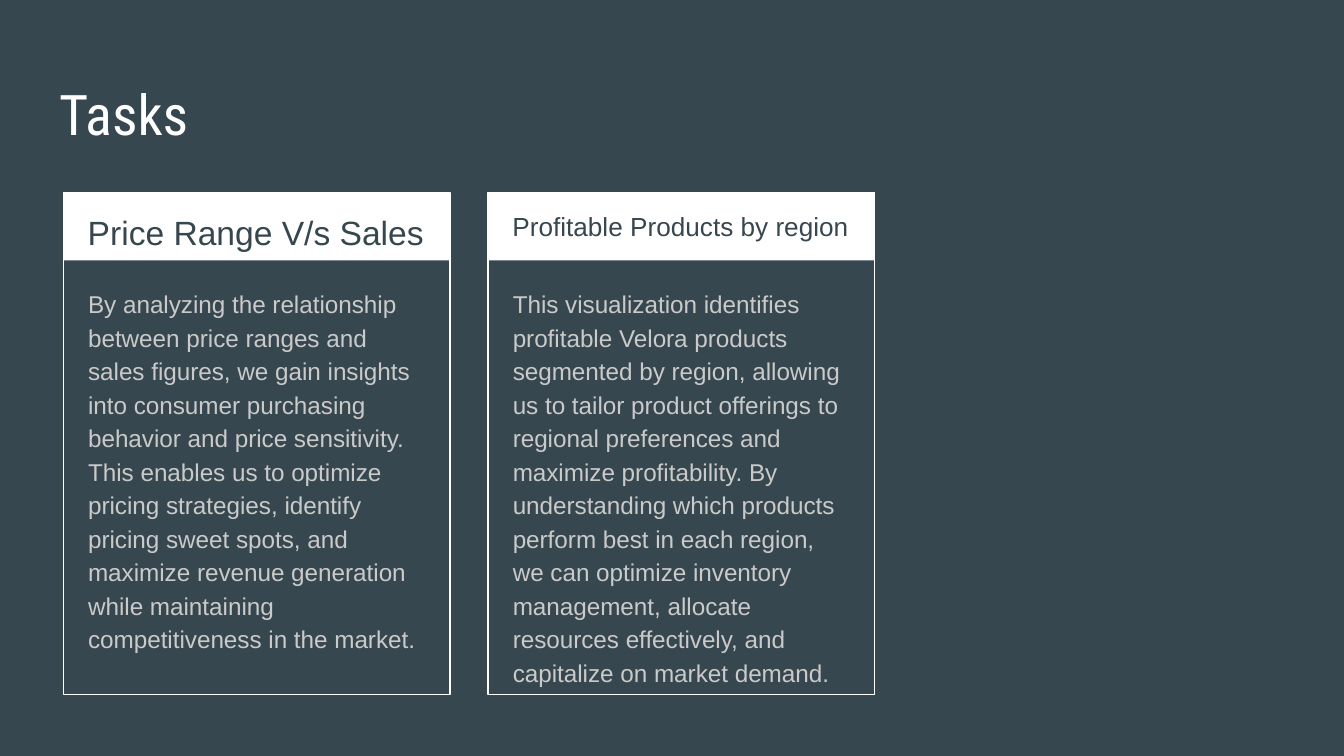
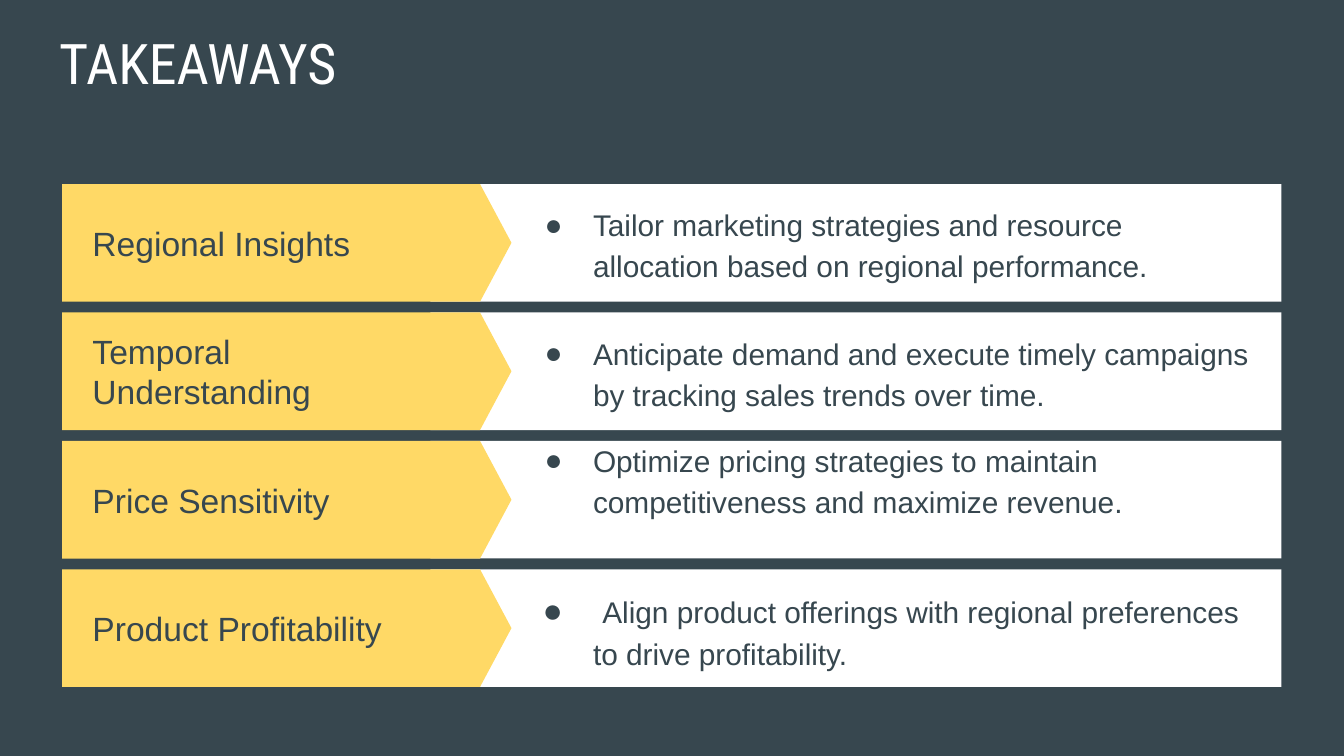
from lxml import etree
from pptx import Presentation
from pptx.dml.color import RGBColor
from pptx.enum.shapes import MSO_SHAPE
from pptx.enum.text import MSO_ANCHOR, MSO_AUTO_SIZE, PP_ALIGN
from pptx.oxml.ns import qn
from pptx.util import Pt

SLATE = RGBColor(0x37, 0x47, 0x4F)
WHITE = RGBColor(0xFF, 0xFF, 0xFF)
SILVER = RGBColor(0xCA, 0xCA, 0xCA)
YELLOW = RGBColor(0xFF, 0xD9, 0x66)
RECTANGLE, PENTAGON = MSO_SHAPE.RECTANGLE, MSO_SHAPE.PENTAGON
TOP, MIDDLE = MSO_ANCHOR.TOP, MSO_ANCHOR.MIDDLE
LEFT = PP_ALIGN.LEFT
NO_AUTOFIT = MSO_AUTO_SIZE.NONE
TITLE_FONT, BODY_FONT = "Roboto Condensed", "Arial"
COMPARISON_LAYOUT = 4
INSET = 7.2

CARDS = [
    ("Price Range V/s Sales", 18,
     "By analyzing the relationship between price ranges and sales figures, "
     "we gain insights into consumer purchasing behavior and price "
     "sensitivity. This enables us to optimize pricing strategies, identify "
     "pricing sweet spots, and maximize revenue generation while maintaining "
     "competitiveness in the market."),
    ("Profitable Products by region", 14,
     "This visualization identifies profitable Velora products segmented by "
     "region, allowing us to tailor product offerings to regional preferences "
     "and maximize profitability. By understanding which products perform "
     "best in each region, we can optimize inventory management, allocate "
     "resources effectively, and capitalize on market demand."),
]
TAKEAWAYS = [
    ("Regional Insights",
     "Tailor marketing strategies and resource allocation based on regional "
     "performance."),
    ("Temporal Understanding",
     "Anticipate demand and execute timely campaigns by tracking sales trends "
     "over time."),
    ("Price Sensitivity",
     "Optimize pricing strategies to maintain competitiveness and maximize "
     "revenue."),
    ("Product Profitability",
     "Align product offerings with regional preferences to drive "
     "profitability."),
]


class SlideBuilder:
    """Hold the deck's style and the current page, and draw elements on it."""

    def __init__(self):
        self.deck = Presentation()
        self.deck.slide_width, self.deck.slide_height = Pt(720), Pt(405)
        self.page = None

    def start_page(self, title, top):
        layout = self.deck.slide_layouts[COMPARISON_LAYOUT]
        self.page = self.deck.slides.add_slide(layout)
        self.page.background.fill.solid()
        self.page.background.fill.fore_color.rgb = SLATE
        self.fill_text(self.page.shapes.title, (24.5, top, 671, 45), title,
                       30, WHITE, font=TITLE_FONT, spacing=1)

    def group(self):
        return self.page.shapes.add_group_shape()

    def shape(self, group, kind, place, fill=None, line=None):
        box = group.shapes.add_shape(kind, *map(Pt, place))
        box.shadow.inherit = False
        if fill is None:
            box.fill.background()
        else:
            box.fill.solid()
            box.fill.fore_color.rgb = fill
        if line is None:
            box.line.fill.background()
        else:
            box.line.color.rgb = line
            box.line.width = Pt(0.75)
        return box

    def label(self, place, text, size, color):
        box = self.page.shapes.add_textbox(*map(Pt, place))
        self.fill_text(box, place, text, size, color, anchor=MIDDLE, spacing=1)

    def body(self, index, place, text, size, color, **options):
        box = self.page.placeholders[index]
        self.page.shapes.element.append(box.element)
        return self.fill_text(box, place, text, size, color, **options)

    def fill_text(self, box, place, text, size, color, font=BODY_FONT,
                  anchor=TOP, spacing=1.15, hanging=None, lead=""):
        box.left, box.top, box.width, box.height = map(Pt, place)
        frame = box.text_frame
        frame.word_wrap = True
        frame.auto_size = NO_AUTOFIT
        frame.vertical_anchor = anchor
        frame.margin_left = frame.margin_right = Pt(INSET)
        frame.margin_top = frame.margin_bottom = Pt(INSET)
        para = frame.paragraphs[0]
        para.alignment = LEFT
        para.line_spacing = spacing
        para.space_before = para.space_after = Pt(0)
        self.bullet(para, color, hanging)
        para.font.name, para.font.size = font, Pt(size)
        para.font.color.rgb = color
        para.font.bold = False
        if lead:
            span = para.add_run()
            span.text = lead
            span.font.size = Pt(18)
        para.add_run().text = text
        return frame

    def bullet(self, para, color, hanging):
        props = para._p.get_or_add_pPr()
        props.set("marL", str(Pt(36 if hanging else 0)))
        props.set("indent", str(Pt(-hanging if hanging else 0)))
        if hanging:
            paint = etree.SubElement(props, qn("a:buClr"))
            etree.SubElement(paint, qn("a:srgbClr")).set("val", str(color))
            etree.SubElement(props, qn("a:buFont")).set("typeface", BODY_FONT)
            etree.SubElement(props, qn("a:buChar")).set("char", "●")
        else:
            etree.SubElement(props, qn("a:buNone"))


def build_tasks(builder):
    builder.start_page("Tasks", 35.3)
    top = 103
    for number, (heading, size, text) in enumerate(CARDS):
        left = 34 + number * 227.5
        card = builder.group()
        builder.shape(card, RECTANGLE, (left, top, 207, 36.5), fill=WHITE)
        builder.shape(card, RECTANGLE, (left, top, 207, 269), line=WHITE)
        builder.body(2 * number + 1, (left + 5.8, top, 196.5, 36),
                     heading, size, SLATE)
        builder.body(2 * number + 2, (left + 6, top + 42.5, 195, 220),
                     text, 13, SILVER)


def build_takeaways(builder):
    builder.start_page("TAKEAWAYS", 8)
    height = 63
    for number, (heading, text) in enumerate(TAKEAWAYS):
        top = 98.6 + number * 68.8
        band = builder.group()
        builder.shape(band, RECTANGLE, (230.5, top, 456, height), fill=WHITE)
        arrow = builder.shape(band, PENTAGON, (33.3, top, 240.7, height),
                              fill=YELLOW)
        arrow.adjustments[0] = 0.267
        builder.label((42.5, top, 191, height), heading, 18, SLATE)
        last = number == len(TAKEAWAYS) - 1
        frame = builder.body(number + 1, (274.5, top, 402.5, height), text,
                             16, SLATE, anchor=MIDDLE,
                             hanging=27 if last else 26,
                             lead=" " if last else "")
        if heading == "Price Sensitivity":
            frame.margin_top, frame.margin_bottom = Pt(0), Pt(22.5)


def main():
    builder = SlideBuilder()
    build_tasks(builder)
    build_takeaways(builder)
    builder.deck.save("out.pptx")


if __name__ == "__main__":
    main()
